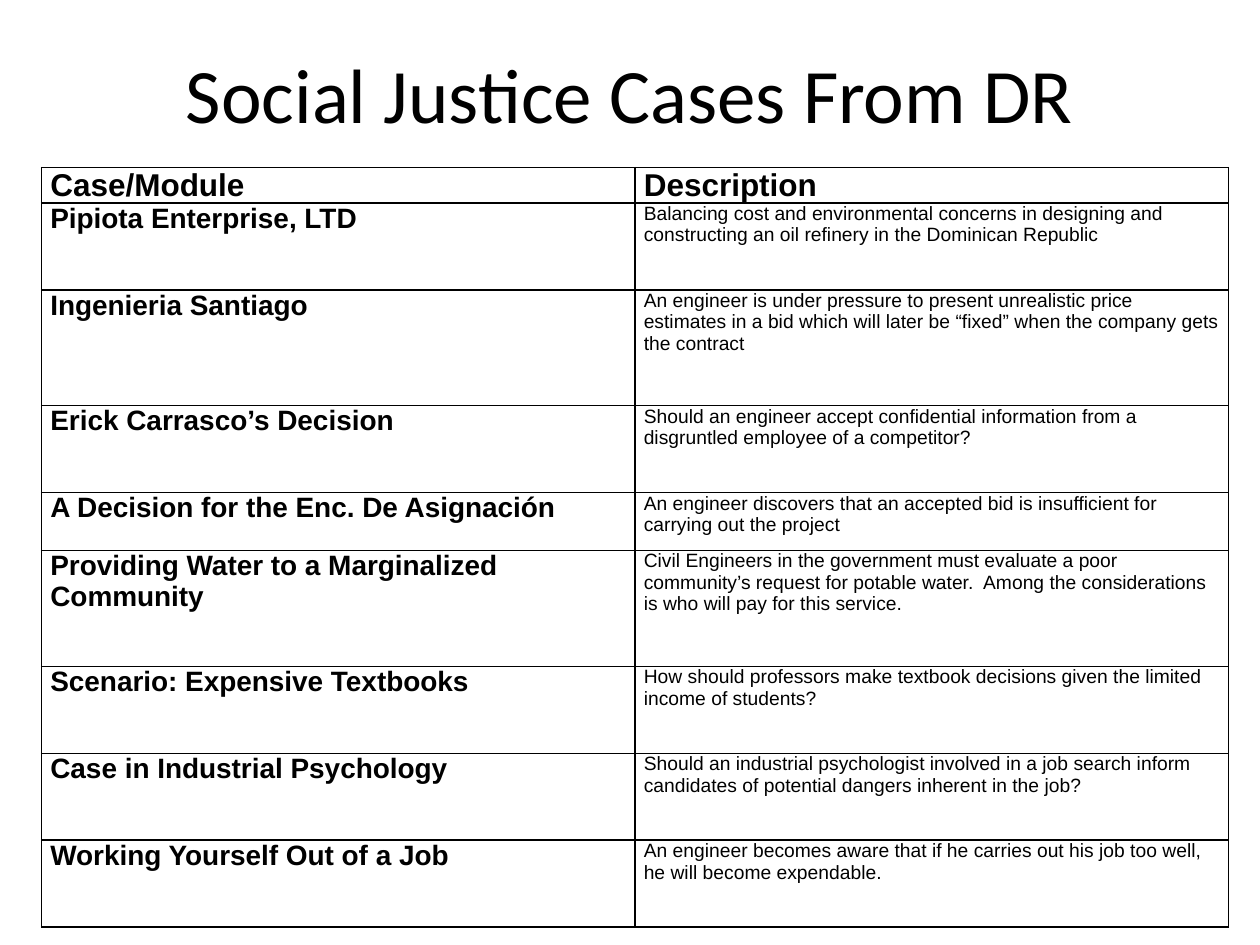
from pptx import Presentation
from pptx import util as u
from pptx.dml import color
from pptx.enum import text
from pptx.oxml import ns
from lxml import etree

UNIT = 0.23  # every row is a multiple of this height
CASES = [
    # case, description, height in units
    ("Pipiota Enterprise, LTD",
     "Balancing cost and environmental concerns in designing and "
     "constructing an oil refinery in the Dominican Republic", 3),
    ("Ingenieria Santiago",
     "An engineer is under pressure to present unrealistic price estimates "
     "in a bid which will later be “fixed” when the company gets the contract", 4),
    ("Erick Carrasco’s Decision",
     "Should an engineer accept confidential information from a "
     "disgruntled employee of a competitor?", 3),
    ("A Decision for the Enc. De Asignación",
     "An engineer discovers that an accepted bid is insufficient for "
     "carrying out the project", 2),
    ("Providing Water to a Marginalized Community",
     "Civil Engineers in the government must evaluate a poor community’s "
     "request for potable water.  Among the considerations is who will pay "
     "for this service.", 4),
    ("Scenario: Expensive Textbooks",
     "How should professors make textbook decisions given the limited "
     "income of students?", 3),
    ("Case in Industrial Psychology",
     "Should an industrial psychologist involved in a job search inform "
     "candidates of potential dangers inherent in the job?", 3),
    ("Working Yourself Out of a Job",
     "An engineer becomes aware that if he carries out his job too well, "
     "he will become expendable.", 3),
]


def paint(target, tone):
    target.rgb = color.RGBColor.from_string(tone)


def add_run(para, words, size, face, bold=False):
    run = para.add_run()
    run.text = words
    run.font.size = u.Pt(size)
    run.font.name = face
    run.font.bold = bold
    paint(run.font.color, "000000")


def add_edges(cell, tone, width):
    props = cell._tc.get_or_add_tcPr()
    for side in ("a:lnL", "a:lnR", "a:lnT", "a:lnB"):
        line = etree.SubElement(props, ns.qn(side), w=str(u.Pt(width)))
        fill = etree.SubElement(line, ns.qn("a:solidFill"))
        etree.SubElement(fill, ns.qn("a:srgbClr"), val=tone)


def set_title(slide, words, left, top, width, height):
    title = slide.shapes.title
    title.left, title.top = u.Inches(left), u.Inches(top)
    title.width, title.height = u.Inches(width), u.Inches(height)
    frame = title.text_frame
    frame.vertical_anchor = text.MSO_ANCHOR.MIDDLE
    para = frame.paragraphs[0]
    para.alignment = text.PP_ALIGN.CENTER
    add_run(para, words, 44, "Calibri")


def fill_cell(cell, words, size, bold):
    cell.margin_left = cell.margin_right = u.Inches(0.07)
    cell.margin_top = cell.margin_bottom = 0
    add_edges(cell, "000000", 1)
    cell.fill.background()
    add_run(cell.text_frame.paragraphs[0], words, size, "Arial", bold)


def add_cases(slide, left, top, width):
    units = [1] + [case[2] for case in CASES]
    table = slide.shapes.add_table(
        len(units), 2, u.Inches(left), u.Inches(top),
        u.Inches(width), u.Inches(UNIT * sum(units))).table
    table.first_row = table.horz_banding = False
    for row, count in zip(table.rows, units):
        row.height = u.Inches(UNIT * count)

    # Header row
    for col, head in enumerate(("Case/Module", "Description")):
        fill_cell(table.cell(0, col), head, 18, True)

    # One row for each case
    for row, (name, about, _) in enumerate(CASES, 1):
        fill_cell(table.cell(row, 0), name, 16, True)
        fill_cell(table.cell(row, 1), about, 11, False)


def main():
    deck = Presentation()
    deck.slide_width, deck.slide_height = u.Inches(10), u.Inches(7.5)
    slide = deck.slides.add_slide(deck.slide_layouts[5])
    set_title(slide, "Social Justice Cases From DR", 0.5, 0.3, 9, 0.87)
    add_cases(slide, 0.33, 1.33, 9.42)
    deck.save("out.pptx")


if __name__ == "__main__":
    main()
